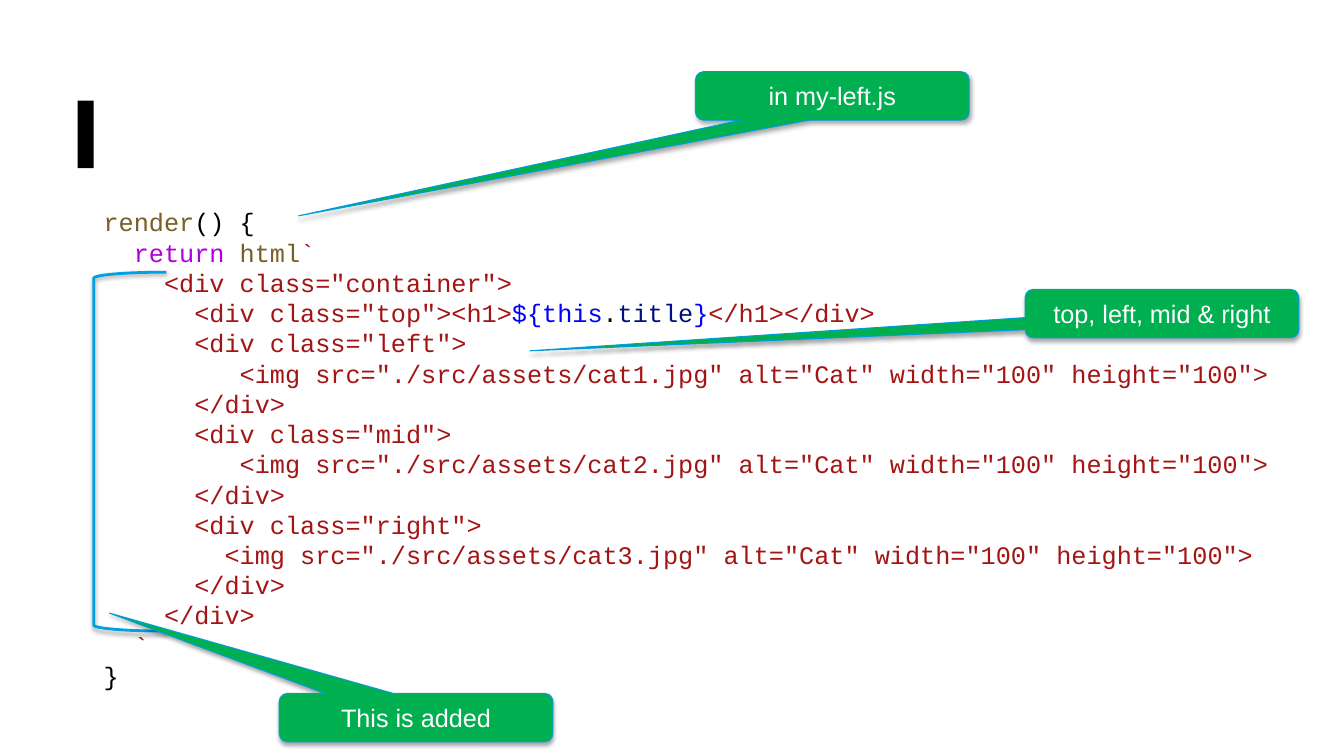
import pptx
import pptx.dml.color
import pptx.enum.shapes
import pptx.enum.text
import pptx.oxml
import pptx.oxml.ns
import pptx.util

RGBColor = pptx.dml.color.RGBColor
SHAPE = pptx.enum.shapes.MSO_SHAPE

BLACK = RGBColor(0x00, 0x00, 0x00)
WHITE = RGBColor(0xFF, 0xFF, 0xFF)
GREEN = RGBColor(0x00, 0xB0, 0x50)
CALLOUT_EDGE = RGBColor(0x00, 0x9D, 0xDC)
BRACKET_BLUE = RGBColor(0x00, 0xA1, 0xE1)
FUNCTION = RGBColor(0x79, 0x5E, 0x26)
KEYWORD = RGBColor(0xAF, 0x00, 0xDB)
MARKUP = RGBColor(0xA3, 0x15, 0x15)
EXPRESSION = RGBColor(0x00, 0x00, 0xFF)
PROPERTY = RGBColor(0x00, 0x10, 0x80)

# The grid is one code character wide and one code line high.
COLUMN = pptx.util.Inches(0.15)
ROW = pptx.util.Inches(0.3)
FONT_SIZE = pptx.util.Pt(18)


def place(column, row, columns, rows):
    """Turn grid cells into left, top, width and height."""
    return (round(column * COLUMN), round(row * ROW),
            round(columns * COLUMN), round(rows * ROW))


def add_shadow(shape, opacity, distance):
    """Give the shape a soft black shadow straight below it."""
    shape.shadow.inherit = False
    effects = shape._element.spPr.find(pptx.oxml.ns.qn("a:effectLst"))
    effects.append(pptx.oxml.parse_xml(
        f'<a:outerShdw {pptx.oxml.ns.nsdecls("a")} blurRad="{pptx.util.Pt(3.1)}" '
        f'dist="{pptx.util.Pt(distance)}" dir="5400000" rotWithShape="0">'
        f'<a:srgbClr val="000000"><a:alpha val="{opacity * 1000}"/></a:srgbClr>'
        '</a:outerShdw>'))


presentation = pptx.Presentation()
presentation.slide_width = pptx.util.Inches(13.333)
presentation.slide_height = pptx.util.Inches(7.5)
slide = presentation.slides.add_slide(presentation.slide_layouts[6])

# Title marker
marker = slide.shapes.add_shape(SHAPE.RECTANGLE, *place(5.13, 3.33, 1.07, 2.23))
marker.shadow.inherit = False
marker.fill.solid()
marker.fill.fore_color.rgb = BLACK
marker.line.fill.background()

# Code: each line is its indent in characters, then its coloured runs
code_lines = [
    (0, [("render", FUNCTION), ("() {", BLACK)]),
    (2, [("return ", KEYWORD), ("html", FUNCTION), ("`", MARKUP)]),
    (4, [('<div class="container">', MARKUP)]),
    (6, [('<div class="top"><h1>', MARKUP), ("${this", EXPRESSION), (".", BLACK),
         ("title", PROPERTY), ("}", EXPRESSION), ("</h1></div>", MARKUP)]),
]
for number, (name, image_indent) in enumerate([("left", 9), ("mid", 9), ("right", 8)], 1):
    image = f'<img src="./src/assets/cat{number}.jpg" alt="Cat" width="100" height="100">'
    code_lines += [
        (6, [(f'<div class="{name}">', MARKUP)]),
        (image_indent, [(image, MARKUP)]),
        (6, [("</div>", MARKUP)]),
    ]
code_lines += [
    (4, [("</div>", MARKUP)]),
    (2, [("`", MARKUP)]),
    (0, [("}", BLACK)]),
]

code_box = slide.shapes.add_textbox(*place(6.2, 6.67, 79.67, 17.5))
code_frame = code_box.text_frame
code_frame.word_wrap = True
for index, (indent, runs) in enumerate(code_lines):
    paragraph = code_frame.paragraphs[0] if index == 0 else code_frame.add_paragraph()
    properties = paragraph._p.get_or_add_pPr()
    properties.set("marL", str(indent * COLUMN))
    properties.set("indent", "0")
    for text, color in runs:
        run = paragraph.add_run()
        run.text = text
        run.font.name = "Courier New"
        run.font.size = FONT_SIZE
        run.font.color.rgb = color

# Bracket around the added markup
bracket = slide.shapes.add_shape(SHAPE.LEFT_BRACKET, *place(6.2, 9, 4.8, 11.87))
bracket.fill.background()
bracket.line.color.rgb = BRACKET_BLUE
bracket.line.width = pptx.util.Pt(2)
add_shadow(bracket, 38, 1.6)

# Callouts: label, column, row, and pointer tip as shares of the callout's size
callouts = [
    ("in my-left.js", 46, 2.37, -1.95, 2.48),
    ("This is added", 18.47, 22.93, -1.12, -2.16),
    ("top, left, mid & right", 67.8, 9.57, -2.31, 0.77),
]
for label, column, row, tip_x, tip_y in callouts:
    callout = slide.shapes.add_shape(
        SHAPE.ROUNDED_RECTANGULAR_CALLOUT, *place(column, row, 18.1, 1.6))
    callout.adjustments[0] = tip_x
    callout.adjustments[1] = tip_y
    callout.fill.solid()
    callout.fill.fore_color.rgb = GREEN
    callout.line.color.rgb = CALLOUT_EDGE
    callout.line.width = pptx.util.Pt(0.75)
    add_shadow(callout, 35, 1.8)
    callout.text_frame.word_wrap = True
    callout.text_frame.vertical_anchor = pptx.enum.text.MSO_ANCHOR.MIDDLE
    paragraph = callout.text_frame.paragraphs[0]
    paragraph.alignment = pptx.enum.text.PP_ALIGN.CENTER
    run = paragraph.add_run()
    run.text = label
    run.font.name = "Arial"
    run.font.size = FONT_SIZE
    run.font.color.rgb = WHITE

presentation.save("out.pptx")
